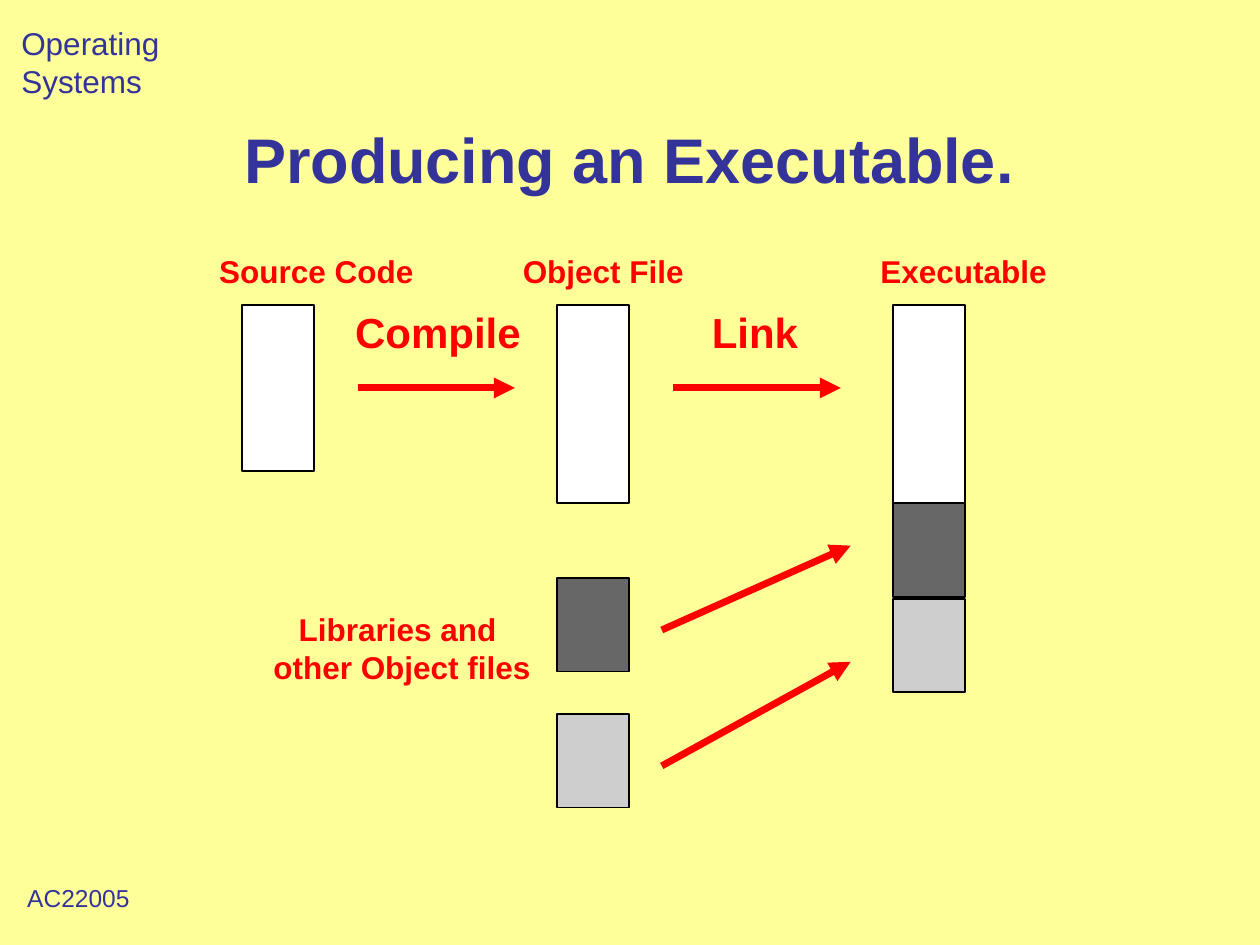
from lxml.etree import SubElement
from pptx import Presentation
from pptx.dml.color import RGBColor
from pptx.enum.shapes import MSO_CONNECTOR, MSO_SHAPE
from pptx.enum.text import MSO_ANCHOR, MSO_AUTO_SIZE, PP_ALIGN
from pptx.oxml.ns import qn
from pptx.util import Cm, Pt

YELLOW = RGBColor(0xFF, 0xFF, 0x99)
INDIGO = RGBColor(0x33, 0x33, 0x99)
RED = RGBColor(0xFF, 0x00, 0x00)
BLACK = RGBColor(0x00, 0x00, 0x00)
WHITE = RGBColor(0xFF, 0xFF, 0xFF)
DARK_GREY = RGBColor(0x67, 0x67, 0x67)
LIGHT_GREY = RGBColor(0xCE, 0xCE, 0xCE)

FILE_WIDTH = 1.45
OBJECT_HEIGHT = 3.99
LIBRARY_HEIGHT = 1.88


def style_font(para, size, color, bold):
    font = para.font
    font.name, font.size, font.bold = "Arial", Pt(size), bold
    font.color.rgb = color


def add_label(page, text, left, top, width, height, size=18, color=RED,
              bold=True, align=PP_ALIGN.LEFT):
    box = page.shapes.add_textbox(Cm(left), Cm(top), Cm(width), Cm(height))
    frame = box.text_frame
    frame.word_wrap = False
    frame.auto_size = MSO_AUTO_SIZE.SHAPE_TO_FIT_TEXT
    frame.text = text
    for para in frame.paragraphs:
        para.alignment = align
        style_font(para, size, color, bold)


def add_file_block(page, left, top, height, color):
    block = page.shapes.add_shape(MSO_SHAPE.RECTANGLE, Cm(left), Cm(top),
                                  Cm(FILE_WIDTH), Cm(height))
    block.shadow.inherit = False
    block.fill.solid()
    block.fill.fore_color.rgb = color
    block.line.color.rgb = BLACK
    block.line.width = Pt(1)


def add_arrow(page, start_x, start_y, end_x, end_y):
    arrow = page.shapes.add_connector(MSO_CONNECTOR.STRAIGHT, Cm(start_x),
                                      Cm(start_y), Cm(end_x), Cm(end_y))
    arrow.line.color.rgb = RED
    arrow.line.width = Pt(4)
    SubElement(arrow.line._get_or_add_ln(), qn("a:tailEnd"), type="triangle")
    SubElement(arrow._element.spPr, qn("a:effectLst"))


def add_title(page, text, left, top, width, height):
    title = page.shapes.title
    title.left, title.top = Cm(left), Cm(top)
    title.width, title.height = Cm(width), Cm(height)
    frame = title.text_frame
    frame.text = text
    frame.vertical_anchor = MSO_ANCHOR.MIDDLE
    para = frame.paragraphs[0]
    para.alignment = PP_ALIGN.CENTER
    para.line_spacing = 0.9
    style_font(para, 36, INDIGO, True)


def add_file_column(page, left, top, name, name_offset, name_width, blocks):
    """Place a heading and its file blocks, given as (offset, height, color)."""
    add_label(page, name, left + name_offset, top, name_width, 1.02)
    for offset, height, color in blocks:
        add_file_block(page, left, top + 1.2 + offset, height, color)


def add_step(page, left, top, length, name, name_offset, name_width):
    """Place a build step: its name above a horizontal arrow."""
    add_label(page, name, left + name_offset, top, name_width, 1.27, size=24)
    add_arrow(page, left, top + 1.77, left + length, top + 1.77)


def add_library_links(page, left, top, width):
    add_arrow(page, left, top + 1.7, left + width, top)
    add_arrow(page, left, top + 4.44, left + width, top + 2.34)


def add_diagram(page, left, top):
    add_file_column(page, left, top, "Source Code", -0.71, 4.42,
                    [(0, 3.35, WHITE)])
    add_file_column(page, left + 6.35, top, "Object File", -0.94, 3.76,
                    [(0, OBJECT_HEIGHT, WHITE),
                     (5.51, LIBRARY_HEIGHT, DARK_GREY),
                     (8.25, LIBRARY_HEIGHT, LIGHT_GREY)])
    add_file_column(page, left + 13.13, top, "Executable", -0.51, 3.86,
                    [(0, OBJECT_HEIGHT, WHITE),
                     (4.0, LIBRARY_HEIGHT, DARK_GREY),
                     (5.92, LIBRARY_HEIGHT, LIGHT_GREY)])
    add_step(page, left + 2.33, top + 1.1, 3.17, "Compile", -0.3, 3.84)
    add_step(page, left + 8.68, top + 1.1, 3.39, "Link", 0.54, 2.24)
    add_label(page, "Libraries and \nother Object files", left + 0.38,
              top + 7.22, 5.69, 1.78, align=PP_ALIGN.CENTER)
    add_library_links(page, left + 8.46, top + 6.05, 3.81)


def main():
    deck = Presentation()
    deck.slide_width, deck.slide_height = Cm(25.4), Cm(19.05)
    page = deck.slides.add_slide(deck.slide_layouts[5])
    page.background.fill.solid()
    page.background.fill.fore_color.rgb = YELLOW
    add_label(page, "Operating Systems", 0.18, 0.36, 5.89, 1.02,
              color=INDIGO, bold=False)
    add_label(page, "AC22005", 0.3, 17.68, 2.57, 0.84, size=14,
              color=INDIGO, bold=False)
    add_title(page, "Producing an Executable.", 2.74, 1.7, 19.89, 3.18)
    add_diagram(page, 4.88, 4.95)
    deck.save("out.pptx")


if __name__ == "__main__":
    main()
